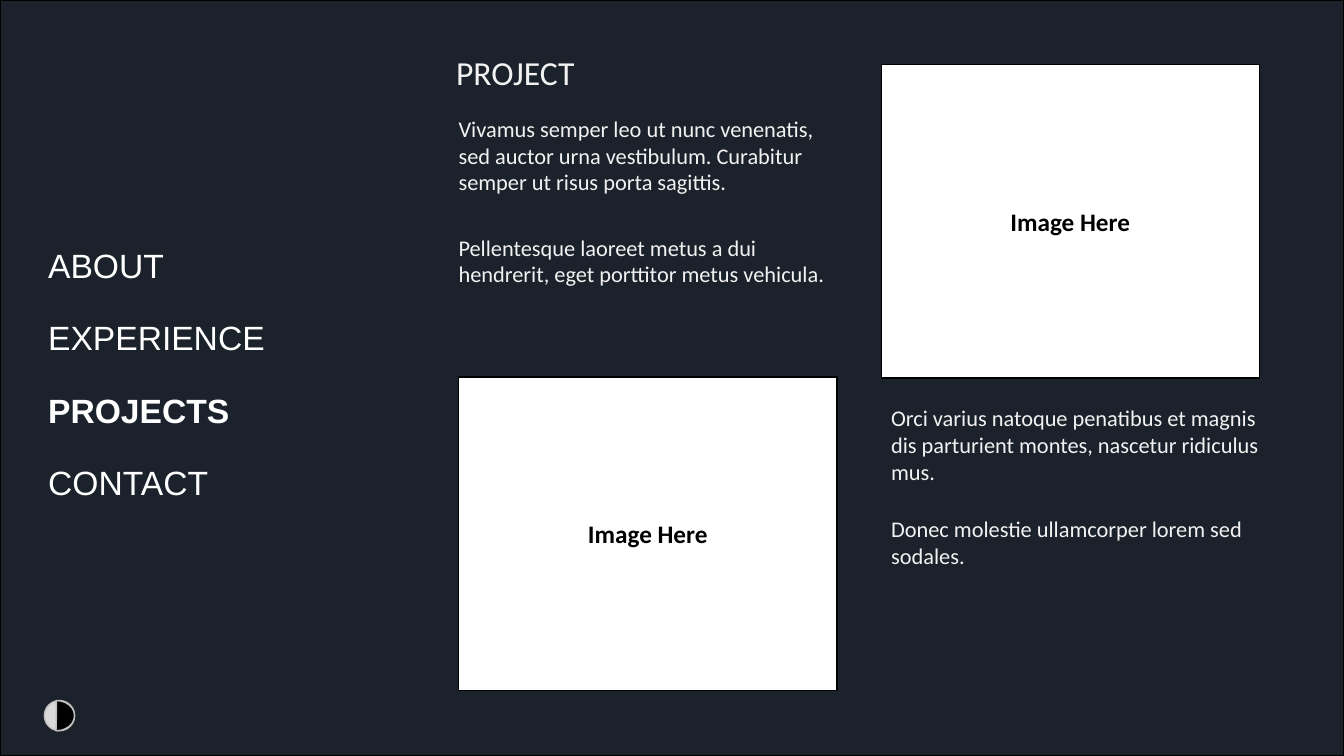
from pptx import Presentation
from pptx.dml.color import RGBColor
from pptx.enum.shapes import MSO_SHAPE
from pptx.enum.text import MSO_ANCHOR, MSO_AUTO_SIZE, PP_ALIGN
from pptx.util import Inches, Pt

RECT, OVAL, PIE = MSO_SHAPE.RECTANGLE, MSO_SHAPE.OVAL, MSO_SHAPE.PIE
LEFT, CENTER = PP_ALIGN.LEFT, PP_ALIGN.CENTER
MIDDLE = MSO_ANCHOR.MIDDLE
GROW = MSO_AUTO_SIZE.SHAPE_TO_FIT_TEXT

NAVY = RGBColor(0x1B, 0x22, 0x2B)
WHITE = RGBColor(0xFF, 0xFF, 0xFF)
BLACK = RGBColor(0, 0, 0)
PALE = RGBColor(0xF2, 0xF2, 0xF2)
GRAY = RGBColor(0xD9, 0xD9, 0xD9)
MID_GRAY = RGBColor(0xBF, 0xBF, 0xBF)

prs = Presentation()
prs.slide_width, prs.slide_height = Inches(13.33), Inches(7.5)
s = prs.slides.add_slide(prs.slide_layouts[6])


def add_box(shapes, kind, x, y, w, h, fill, line):
    sp = shapes.add_shape(kind, Inches(x), Inches(y), Inches(w), Inches(h))
    sp.shadow.inherit = False
    sp.fill.solid()
    sp.fill.fore_color.rgb = fill
    sp.line.color.rgb = line
    sp.line.width = Pt(1)
    return sp


def add_text(sp, text, size, font, color, bold=False, align=LEFT):
    tf = sp.text_frame
    tf.word_wrap = True
    p = tf.paragraphs[0]
    p.alignment = align
    r = p.add_run()
    r.text = text
    r.font.size = Pt(size)
    r.font.name = font
    r.font.bold = bold
    r.font.color.rgb = color
    return tf


add_box(s.shapes, RECT, 0, 0, 13.33, 7.5, NAVY, BLACK)

sp = s.shapes.add_textbox(Inches(4.17), Inches(0.47), Inches(1.88), Inches(0.5))
tf = add_text(sp, "PROJECT", 24, "Calibri", PALE, align=CENTER)
tf.auto_size = GROW

body_texts = [
    (4.45, 1.09, 0.91, "Vivamus semper leo ut nunc venenatis, sed auctor urna "
     "vestibulum. Curabitur semper ut risus porta sagittis."),
    (4.45, 2.27, 0.64, "Pellentesque laoreet metus a dui hendrerit, eget "
     "porttitor metus vehicula."),
    (8.74, 3.96, 0.91, "Orci varius natoque penatibus et magnis dis parturient "
     "montes, nascetur ridiculus mus."),
    (8.74, 5.06, 0.64, "Donec molestie ullamcorper lorem sed sodales."),
]
for x, y, h, text in body_texts:
    sp = s.shapes.add_textbox(Inches(x), Inches(y), Inches(4.06), Inches(h))
    tf = add_text(sp, text, 16, "Calibri", PALE)
    tf.auto_size = GROW

menu = s.shapes.add_group_shape()
for i, label in enumerate(["ABOUT", "EXPERIENCE", "PROJECTS", "CONTACT"]):
    sp = menu.shapes.add_textbox(Inches(0.38), Inches(2.38 + i * 0.717),
                                 Inches(2.4), Inches(0.5))
    tf = add_text(sp, label, 24, "Arial", WHITE, bold=label == "PROJECTS")
    tf.auto_size = GROW

contrast_icon = s.shapes.add_group_shape()
add_box(contrast_icon.shapes, OVAL, 0.44, 6.95, 0.3, 0.3, GRAY, MID_GRAY)
half = add_box(contrast_icon.shapes, PIE, 0.38, 6.95, 0.36, 0.3, BLACK, MID_GRAY)
half.adjustments[0] = 162
half.adjustments[1] = 54.79

for x, y in [(8.74, 0.64), (4.55, 3.74)]:
    sp = add_box(s.shapes, RECT, x, y, 3.75, 3.11, WHITE, BLACK)
    tf = add_text(sp, "Image Here", 18, "Calibri", BLACK, bold=True, align=CENTER)
    tf.vertical_anchor = MIDDLE

prs.save("out.pptx")
